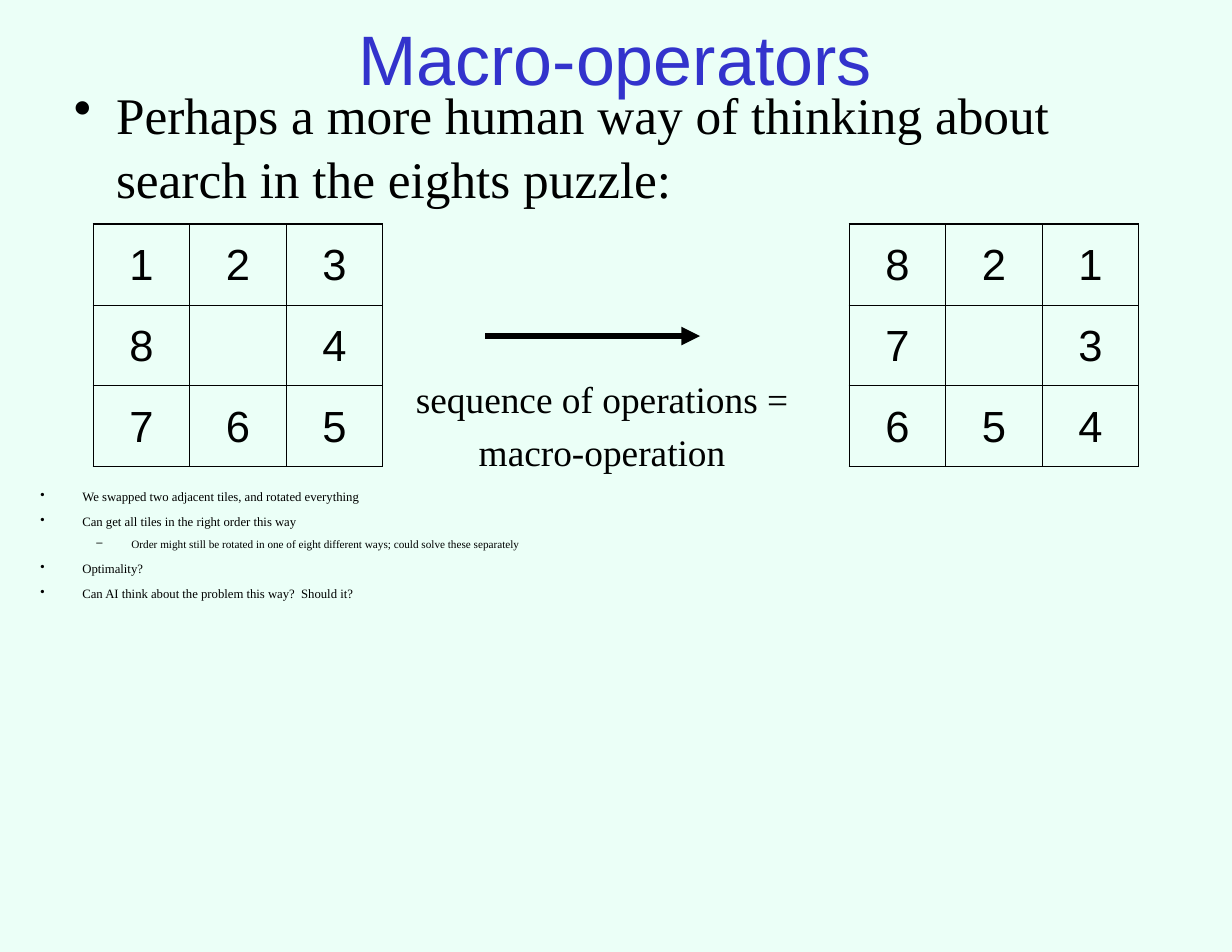
from dataclasses import dataclass

from lxml.etree import SubElement
from pptx import Presentation
from pptx.dml.color import RGBColor
from pptx.enum.shapes import MSO_CONNECTOR as Connector
from pptx.enum.text import MSO_ANCHOR as Anchor, PP_ALIGN as Align
from pptx.oxml.ns import qn
from pptx.util import Pt


@dataclass(frozen=True)
class Theme:
    background: str = "EBFFF7"
    title_color: str = "3333CC"
    ink: str = "000000"
    sans: str = "Arial"
    serif: str = "Times New Roman"
    title_size: float = 45
    lead_size: float = 33
    tile_size: float = 28
    caption_size: float = 24
    point_size: float = 8.2
    subpoint_size: float = 7.2
    outer_border: float = 1.08
    inner_border: float = 0.45
    arrow_width: float = 4


THEME = Theme()


def write(paragraph, text, *, size, font=THEME.serif, color=THEME.ink, align=Align.LEFT,
          line_spacing=1.0, before=0, bullet=None, margin=0, hanging=0, level=0):
    paragraph.level = level
    paragraph.alignment = align
    paragraph.line_spacing = line_spacing
    paragraph.space_before = Pt(before)
    if bullet:
        properties = paragraph._p.get_or_add_pPr()
        properties.set("marL", str(Pt(margin)))
        properties.set("indent", str(-Pt(hanging)))
        bullet_color = SubElement(properties, qn("a:buClr"))
        SubElement(bullet_color, qn("a:srgbClr"), val=THEME.ink)
        SubElement(properties, qn("a:buChar"), char=bullet)
    run = paragraph.add_run()
    run.text = text
    run.font.size = Pt(size)
    run.font.name = font
    run.font.color.rgb = RGBColor.from_string(color)


class SlideBuilder:
    def __init__(self, slide, theme):
        self.slide = slide
        self.theme = theme
        fill = slide.background.fill
        fill.solid()
        fill.fore_color.rgb = RGBColor.from_string(theme.background)

    def text_box(self, left, top, width, height, paragraphs, *,
                 inset=(8, 4), anchor=Anchor.TOP):
        """Add a box from (text, format) pairs."""
        shape = self.slide.shapes.add_textbox(Pt(left), Pt(top), Pt(width), Pt(height))
        frame = shape.text_frame
        frame.word_wrap = True
        frame.vertical_anchor = anchor
        frame.margin_left = frame.margin_right = Pt(inset[0])
        frame.margin_top = frame.margin_bottom = Pt(inset[1])
        for index, (text, style) in enumerate(paragraphs):
            paragraph = frame.add_paragraph() if index else frame.paragraphs[0]
            write(paragraph, text, **style)

    def puzzle(self, left, top, tile_width, tile_height, rows):
        """Add a board of tiles, where None is the empty place."""
        count = len(rows)
        table = self.slide.shapes.add_table(
            count, count, Pt(left), Pt(top),
            Pt(tile_width * count), Pt(tile_height * count)).table
        table.first_row = table.horz_banding = False
        for row_index, row in enumerate(rows):
            table.rows[row_index].height = Pt(tile_height)
            for column_index, tile in enumerate(row):
                table.columns[column_index].width = Pt(tile_width)
                cell = table.cell(row_index, column_index)
                if tile is not None:
                    write(cell.text_frame.paragraphs[0], str(tile), align=Align.CENTER,
                          size=self.theme.tile_size, font=self.theme.sans,
                          line_spacing=1.24)
                self.borders(cell, {
                    "L": column_index == 0, "R": column_index == count - 1,
                    "T": row_index == 0, "B": row_index == count - 1})

    def borders(self, cell, outer_sides):
        properties = cell._tc.get_or_add_tcPr()
        for side, is_outer in outer_sides.items():
            width = self.theme.outer_border if is_outer else self.theme.inner_border
            line = SubElement(properties, qn(f"a:ln{side}"), w=str(Pt(width)))
            fill = SubElement(line, qn("a:solidFill"))
            SubElement(fill, qn("a:srgbClr"), val=self.theme.ink)
        cell.fill.background()

    def arrow(self, start, end):
        connector = self.slide.shapes.add_connector(
            Connector.STRAIGHT, *(Pt(value) for value in (*start, *end)))
        connector.line.width = Pt(self.theme.arrow_width)
        connector.line.color.rgb = RGBColor.from_string(self.theme.ink)
        SubElement(connector.line._get_or_add_ln(), qn("a:tailEnd"), type="triangle")
        SubElement(connector._element.spPr, qn("a:effectLst"))


def main():
    presentation = Presentation()
    presentation.slide_width, presentation.slide_height = Pt(792), Pt(612)
    slide = presentation.slides.add_slide(presentation.slide_layouts[6])
    builder = SlideBuilder(slide, THEME)

    builder.text_box(39.6, 0.7, 711.4, 59, [
        ("Macro-operators", dict(size=THEME.title_size, font=THEME.sans, align=Align.CENTER,
                                 color=THEME.title_color, line_spacing=1.24)),
    ], anchor=Anchor.MIDDLE)

    top_bullet = dict(bullet="•", margin=27, hanging=27)
    builder.text_box(39.6, 48.2, 710.6, 95.8, [
        ("Perhaps a more human way of thinking about search in the eights puzzle:",
         dict(size=THEME.lead_size, line_spacing=1.04, **top_bullet)),
    ])

    builder.puzzle(546, 144, 62, 52, [(8, 2, 1), (7, None, 3), (6, 5, 4)])
    builder.puzzle(60, 144, 62, 52, [(1, 2, 3), (8, None, 4), (7, 6, 5)])
    builder.arrow((312, 216), (450, 216))
    builder.text_box(257.8, 233.3, 258.5, 75.6, [
        ("sequence of operations = macro-operation",
         dict(size=THEME.caption_size, align=Align.CENTER, line_spacing=1.18)),
    ], inset=(7.2, 3.6))

    first_point = dict(size=THEME.point_size, line_spacing=0.8, **top_bullet)
    point = dict(first_point, before=8.2)
    subpoint = dict(size=THEME.subpoint_size, line_spacing=0.8, before=7.3,
                    bullet="–", margin=58.5, hanging=22.5, level=1)
    builder.text_box(18, 312, 756, 96, [
        ("We swapped two adjacent tiles, and rotated everything", first_point),
        ("Can get all tiles in the right order this way", point),
        ("Order might still be rotated in one of eight different ways; "
         "could solve these separately", subpoint),
        ("Optimality?", point),
        ("Can AI think about the problem this way?  Should it?", point),
    ])

    presentation.save("out.pptx")


if __name__ == "__main__":
    main()
